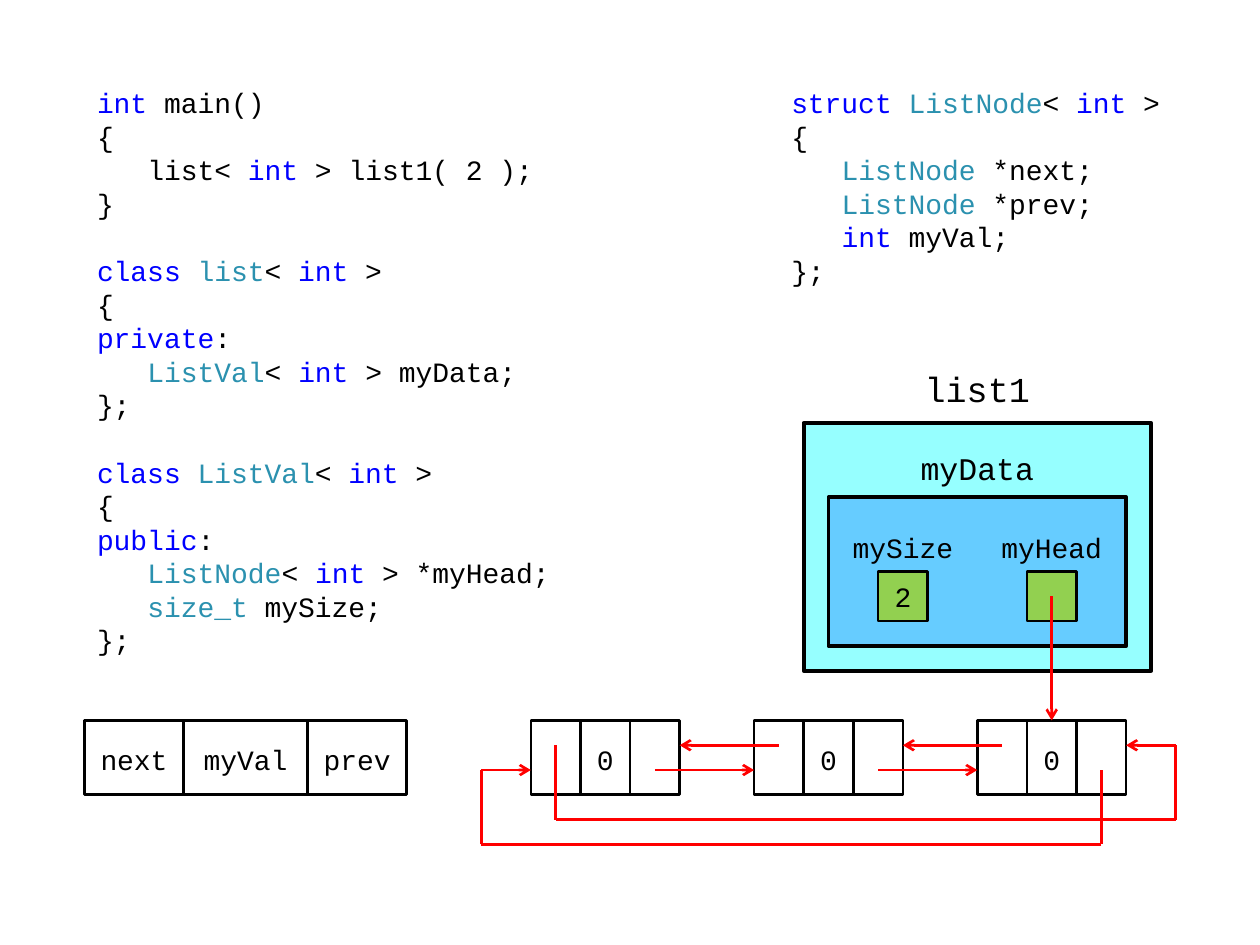
import pptx
import pptx.util
import pptx.dml.color
import pptx.enum.shapes
import pptx.enum.text
import pptx.oxml.ns
import lxml.etree

COLORS = {
    "ink": "000000", "keyword": "0000FF", "type": "2B91AF", "link": "FF0000",
    "list": "96FFFF", "data": "66CCFF", "value": "92D050",
}
MARKS = {"@": "keyword", "#": "type"}
FONT = "Courier New"
CELL = 1 / 2.54
LEFT, TOP = 0.67, 0.6
CODE_SIZE, CODE_PITCH = 16, 19.2
TAB = 3 * 0.6 * CODE_SIZE
CELL_INSETS = (0.1, 0.06, 0.1, 0.04)
PLAIN_INSETS = (0.1, 0.05, 0.1, 0.05)
RECT = pptx.enum.shapes.MSO_SHAPE.RECTANGLE
PROCESS = pptx.enum.shapes.MSO_SHAPE.FLOWCHART_PROCESS

LIST_CODE = [
    "@int| main()", "{", "\tlist< |@int| > list1( 2 );", "}",
    "\n@class |#list|< |@int| >", "{", "@private|:",
    "\t#ListVal|< |@int| > myData;", "};",
    "\n@class |#ListVal|< |@int| >", "{", "@public|:",
    "\t#ListNode|< |@int| > *myHead;", "\t#size_t |mySize;", "};",
]
NODE_CODE = [
    "@struct |#ListNode|< |@int| >", "{", "\t#ListNode| *next;",
    "\t#ListNode| *prev;", "\t@int| myVal;", "};",
]


def color(name):
    return pptx.dml.color.RGBColor.from_string(COLORS[name])


def column(count):
    return pptx.util.Inches(LEFT + count * CELL)


def row(count):
    return pptx.util.Inches(TOP + count * CELL)


def span_of(count):
    return pptx.util.Inches(count * CELL)


def area(left, top, width, height):
    return column(left), row(top), span_of(width), span_of(height)


def format_span(span, size, name="ink"):
    span.font.name = FONT
    span.font.size = pptx.util.Pt(size)
    span.font.color.rgb = color(name)


def set_frame(frame, insets, anchor):
    frame.word_wrap = True
    frame.auto_size = pptx.enum.text.MSO_AUTO_SIZE.NONE
    frame.vertical_anchor = anchor
    sides = ("margin_left", "margin_top", "margin_right", "margin_bottom")
    for side, inset in zip(sides, insets):
        setattr(frame, side, pptx.util.Inches(inset))


def write_label(box, text, size=16, insets=PLAIN_INSETS):
    set_frame(box.text_frame, insets, pptx.enum.text.MSO_ANCHOR.MIDDLE)
    box.text_frame.text = text
    para = box.text_frame.paragraphs[0]
    para.alignment = pptx.enum.text.PP_ALIGN.CENTER
    for span in para.runs:
        format_span(span, size)


def write_code(box, lines):
    frame = box.text_frame
    set_frame(frame, (0.1, 0.08, 0.1, 0.05), pptx.enum.text.MSO_ANCHOR.TOP)
    for index, line in enumerate(lines):
        para = frame.paragraphs[0] if index == 0 else frame.add_paragraph()
        para.alignment = pptx.enum.text.PP_ALIGN.LEFT
        para.line_spacing = pptx.util.Pt(CODE_PITCH)
        para.space_before = pptx.util.Pt(CODE_PITCH if line.startswith("\n") else 0)
        para.space_after = pptx.util.Pt(0)
        settings = para._p.get_or_add_pPr()
        indent = pptx.util.Pt(TAB) if line.startswith("\t") else 0
        settings.set("marL", str(indent))
        settings.set("indent", "0")
        lxml.etree.SubElement(settings, pptx.oxml.ns.qn("a:buNone"))
        for part in line.lstrip("\n\t").split("|"):
            span = para.add_run()
            span.text = part.lstrip("@#")
            format_span(span, CODE_SIZE, MARKS.get(part[0], "ink"))


def add_block(page, place, kind=RECT, fill=None, weight=1.5):
    box = page.shapes.add_shape(kind, *area(*place))
    box.shadow.inherit = False
    if fill:
        box.fill.solid()
        box.fill.fore_color.rgb = color(fill)
    else:
        box.fill.background()
    if weight:
        box.line.color.rgb = color("ink")
        box.line.width = pptx.util.Pt(weight)
    else:
        box.line.fill.background()
    return box


def add_heading(page, place, text, size, top_inset):
    box = page.shapes.add_textbox(*area(*place))
    write_label(box, text, size, (0.08, top_inset, 0.08, 0))


def add_cells(page, left, widths, texts):
    for width, text in zip(widths, texts):
        box = add_block(page, (left, 13, width, 1.5))
        if text:
            write_label(box, text, insets=CELL_INSETS)
        left += width


def add_path(page, *points):
    for index, (start, end) in enumerate(zip(points, points[1:])):
        line = page.shapes.add_connector(
            pptx.enum.shapes.MSO_CONNECTOR.STRAIGHT,
            column(start[0]), row(start[1]), column(end[0]), row(end[1]))
        line.line.color.rgb = color("link")
        line.line.width = pptx.util.Pt(1.5)
        if index == len(points) - 2:
            tail = lxml.etree.SubElement(line.line._get_or_add_ln(), pptx.oxml.ns.qn("a:tailEnd"))
            tail.set("type", "arrow")
        lxml.etree.SubElement(line._element.spPr, pptx.oxml.ns.qn("a:effectLst"))


def add_code(page):
    title, body = page.placeholders
    title._element.getparent().remove(title._element)
    body.left, body.top, body.width, body.height = area(0, 0, 10, 12)
    write_code(body, LIST_CODE)
    write_code(page.shapes.add_textbox(*area(14, 0, 8, 4.5)), NODE_CODE)


def add_list_object(page):
    add_block(page, (14.5, 7, 7, 5), PROCESS, "list", 2.25)
    add_block(page, (15, 8.5, 6, 3), PROCESS, "data", 2.25)
    add_heading(page, (16.5, 5.5, 3, 1.5), "list1", 20, 0.04)
    add_heading(page, (16.5, 7, 3, 1.5), "myData", 18, 0.12)
    for left, name, value in ((15, "mySize", "2"), (18, "myHead", "")):
        label = add_block(page, (left, 9, 3, 1), PROCESS, weight=0)
        write_label(label, name, insets=(0.04, 0.05, 0.04, 0.05))
        box = add_block(page, (left + 1, 10, 1, 1), fill="value")
        if value:
            write_label(box, value)


def add_nodes(page):
    add_cells(page, 0, (2, 2.5, 2), ("next", "myVal", "prev"))
    lefts = (9, 13.5, 18)
    for left in lefts:
        add_cells(page, left, (1, 1, 1), ("", "0", ""))
    for left, right in zip(lefts, lefts[1:]):
        add_path(page, (left + 2.5, 14), (right, 14))
        add_path(page, (right + 0.5, 13.5), (left + 3, 13.5))
    add_path(page, (20.5, 14), (20.5, 15.5), (8, 15.5), (8, 14), (9, 14))
    add_path(page, (9.5, 13.5), (9.5, 15), (22, 15), (22, 13.5), (21, 13.5))
    add_path(page, (19.5, 10.5), (19.5, 13))


def main():
    deck = pptx.Presentation()
    deck.slide_width = pptx.util.Inches(10)
    deck.slide_height = pptx.util.Inches(7.5)
    page = deck.slides.add_slide(deck.slide_layouts[1])
    add_code(page)
    add_list_object(page)
    add_nodes(page)
    deck.save("out.pptx")


main()
